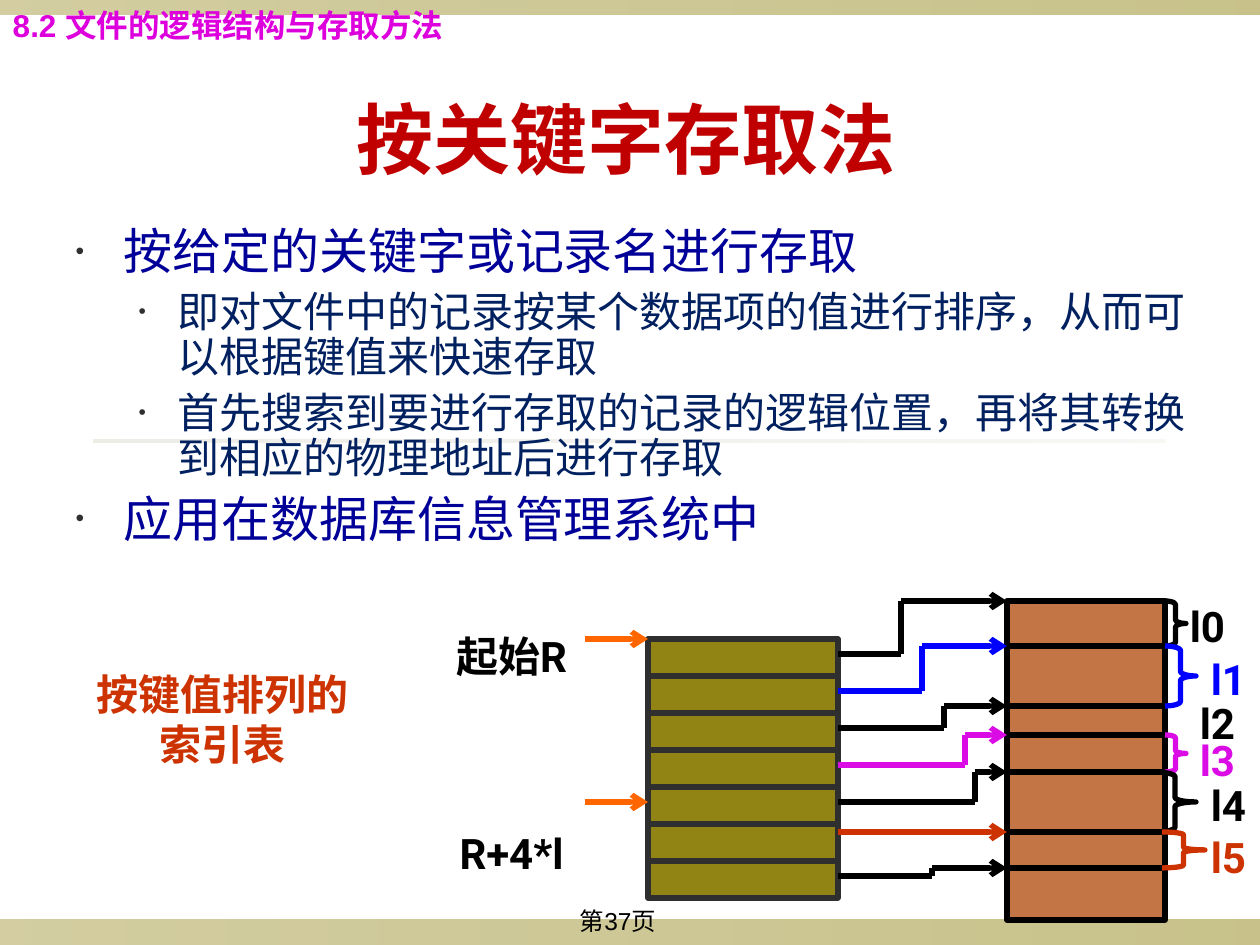
from dataclasses import dataclass

from lxml import etree
from pptx import Presentation
from pptx import util as u
from pptx.dml.color import RGBColor
from pptx.enum import shapes, text
from pptx.oxml.ns import qn


@dataclass(frozen=True)
class Theme:
    black: str = "000000"
    dark: str = "2F2F2F"
    red: str = "C00000"
    navy: str = "000099"
    ink: str = "002060"
    olive: str = "918415"
    sand: str = "DCD9CC"
    clay: str = "C47546"
    blue: str = "0000FF"
    magenta: str = "DB0BE5"
    pink: str = "DD00DD"
    rust: str = "CC3300"
    orange: str = "FF6600"
    title: int = 44
    point: int = 28
    label: int = 24
    chapter: int = 18
    page: int = 14
    stroke: int = 3
    heading_font: str = "Karla"
    label_font: str = "Roboto"
    plain_font: str = "Arial"


theme = Theme()
PX = u.Inches(1) / 126


def add_run(paragraph, words, size, colour, font, bold=False):
    run = paragraph.add_run()
    run.text = words
    run.font.size = u.Pt(size)
    run.font.name = font
    run.font.bold = bold
    run.font.color.rgb = RGBColor.from_string(colour)


def add_line(x1, y1, x2, y2, colour, arrow=False):
    """Draw a straight line in px, with an open arrowhead at its end if asked."""
    ends = [round(value * PX) for value in (x1, y1, x2, y2)]
    line = slide.shapes.add_connector(shapes.MSO_CONNECTOR.STRAIGHT, *ends)
    line.line.color.rgb = RGBColor.from_string(colour)
    line.line.width = u.Pt(theme.stroke)
    if arrow:
        etree.SubElement(line.line._get_or_add_ln(), qn("a:tailEnd"), type="arrow")
    etree.SubElement(line._element.spPr, qn("a:effectLst"))


presentation = Presentation()
presentation.slide_width = round(1260 * PX)
presentation.slide_height = round(945 * PX)
slide = presentation.slides.add_slide(presentation.slide_layouts[1])

# Translucent bands: left, top, width, height, colour, opacity at both ends
bands = [
    (0, 920, 1260, 25, theme.olive, (40, 50)),
    (0, 0, 1260, 15, theme.olive, (40, 50)),
    (94, 440, 1072, 3, theme.sand, (50, 20)),
]
for *box, colour, opacities in bands:
    band = slide.shapes.add_shape(
        shapes.MSO_SHAPE.RECTANGLE, *[round(value * PX) for value in box])
    band.shadow.inherit = False
    band.line.fill.background()
    band.fill.gradient()
    band.fill.gradient_angle = 0
    for stop, opacity in zip(band.fill.gradient_stops, opacities):
        stop.color.rgb = RGBColor.from_string(colour)
        colour_element = stop._gs.find(qn("a:srgbClr"))
        etree.SubElement(colour_element, qn("a:alpha"), val=str(opacity * 1000))
    # Bands lie behind the placeholders
    slide.shapes._spTree.insert(2, band._element)

# Title and bullet list
title, body = slide.shapes.title, slide.placeholders[1]
for placeholder, box in ((title, (59, 59, 1134, 158)), (body, (63, 221, 1143, 351))):
    placeholder.left, placeholder.top, placeholder.width, placeholder.height = [
        round(value * PX) for value in box]
    placeholder.text_frame.auto_size = text.MSO_AUTO_SIZE.NONE

paragraph = title.text_frame.paragraphs[0]
paragraph.alignment = text.PP_ALIGN.CENTER
add_run(paragraph, "按关键字存取法", theme.title, theme.red, theme.heading_font, True)

points = [
    (0, "按给定的关键字或记录名进行存取"),
    (1, "即对文件中的记录按某个数据项的值进行排序，从而可以根据键值来快速存取"),
    (1, "首先搜索到要进行存取的记录的逻辑位置，再将其转换到相应的物理地址后进行存取"),
    (0, "应用在数据库信息管理系统中"),
]
# Per level: left margin, hanging indent, space before, size, colour
levels = [
    (48, -48, 7, theme.point, theme.navy),
    (102, -39, 6, theme.label, theme.ink),
]
for index, (level, words) in enumerate(points):
    margin, indent, gap, size, colour = levels[level]
    frame = body.text_frame
    paragraph = frame.add_paragraph() if index else frame.paragraphs[0]
    paragraph.level = level
    paragraph.line_spacing = 0.9
    paragraph.space_before = u.Pt(gap if index else 0)
    properties = paragraph._p.get_or_add_pPr()
    properties.set("marL", str(round(margin * PX)))
    properties.set("indent", str(round(indent * PX)))
    bullet_colour = etree.SubElement(properties, qn("a:buClr"))
    etree.SubElement(bullet_colour, qn("a:srgbClr"), val=theme.dark)
    etree.SubElement(properties, qn("a:buSzPct"), val="50000")
    etree.SubElement(properties, qn("a:buChar"), char="•")
    add_run(paragraph, words, size, colour, theme.heading_font)

# Record file and index table, each divided by horizontal rules
record_left, record_right = 1007, 1165
record_tops = [601, 646, 706, 735, 772, 832, 868]
index_left, index_right, index_top, index_step = 648, 838, 639, 37
index_tops = [index_top + index_step * row for row in range(7)]
tables = [
    (record_left, record_right, record_tops, 920, theme.clay, theme.black),
    (index_left, index_right, index_tops, index_top + 7 * index_step,
     theme.olive, theme.dark),
]
for left, right, tops, bottom, fill, outline in tables:
    box = (left, tops[0], right - left, bottom - tops[0])
    table = slide.shapes.add_shape(
        shapes.MSO_SHAPE.RECTANGLE, *[round(value * PX) for value in box])
    table.shadow.inherit = False
    table.fill.solid()
    table.fill.fore_color.rgb = RGBColor.from_string(fill)
    table.line.color.rgb = RGBColor.from_string(outline)
    table.line.width = u.Pt(theme.stroke)
    for top in tops[1:]:
        add_line(left, top, right, top, outline)

# Pointers from index rows to records: bend position (None is straight), colour
pointers = [
    (901, theme.black), (922, theme.blue), (944, theme.black), (965, theme.magenta),
    (975, theme.black), (None, theme.rust), (932, theme.black),
]
for row_top, record_top, (bend, colour) in zip(index_tops, record_tops, pointers):
    start = row_top + 15
    if bend:
        add_line(index_right, start, bend, start, colour)
        add_line(bend, start, bend, record_top, colour)
    add_line(bend or index_right, record_top, record_left, record_top, colour, True)
for top in (639, 802):
    add_line(585, top, index_left, top, theme.orange, True)

# Braces over record lengths: record number, left, width
braces = [(0, 1165, 21), (1, 1165, 31), (3, 1165, 21), (4, 1154, 42), (5, 1162, 43)]
for record, left, width in braces:
    top = record_tops[record]
    height = record_tops[record + 1] - top
    brace = slide.shapes.add_shape(
        shapes.MSO_SHAPE.RIGHT_BRACE,
        *[round(value * PX) for value in (left, top, width, height)])
    brace.shadow.inherit = False
    brace.adjustments[0] = round(0.08 * height / min(width, height), 2)
    brace.fill.background()
    brace.line.color.rgb = RGBColor.from_string(pointers[record][1])
    brace.line.width = u.Pt(theme.stroke)

# Text boxes: place, lines, gap between lines, size, colour, font, bold, inset
length_places = [(1176, 601), (1197, 654), (1186, 698), (1186, 735), (1197, 780), (1197, 832)]
boxes = [
    ((left, top, 63, 50), [f"l{record}"], 0, theme.label, pointers[record][1],
     theme.label_font, True, False)
    for record, (left, top) in enumerate(length_places)
]
boxes += [
    ((427, 624, 169, 265), ["起始R", "R+4*l"], 84, theme.label, theme.black,
     theme.label_font, True, True),
    ((64, 662, 318, 113), ["按键值排列的", "索引表"], 0, theme.label, theme.rust,
     theme.label_font, True, True),
    ((-3, 0, 462, 50), ["8.2 文件的逻辑结构与存取方法"], 0, theme.chapter, theme.pink,
     theme.plain_font, True, True),
    ((471, 900, 294, 45), ["第37页"], 0, theme.page, theme.black,
     theme.plain_font, False, True),
]
for place, lines, gap, size, colour, font, bold, inset in boxes:
    frame = slide.shapes.add_textbox(*[round(value * PX) for value in place]).text_frame
    frame.word_wrap = True
    if not inset:
        frame.margin_left = frame.margin_right = frame.margin_top = frame.margin_bottom = 0
    for index, words in enumerate(lines):
        paragraph = frame.add_paragraph() if index else frame.paragraphs[0]
        paragraph.alignment = text.PP_ALIGN.CENTER
        if index and gap:
            paragraph.space_before = u.Pt(gap)
        add_run(paragraph, words, size, colour, font, bold)

presentation.save("out.pptx")
